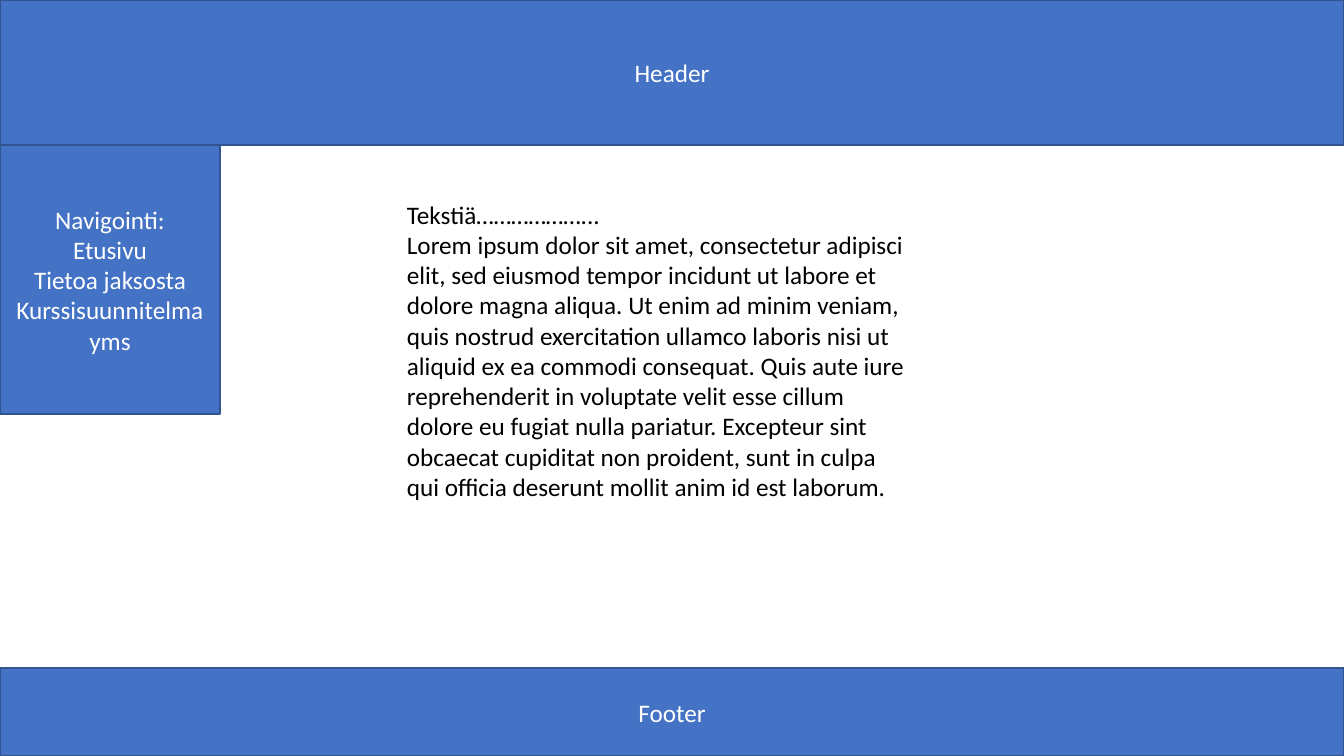
from pptx import Presentation
from pptx.dml.color import RGBColor
from pptx.enum.shapes import MSO_SHAPE
from pptx.enum.text import MSO_ANCHOR, MSO_AUTO_SIZE, PP_ALIGN
from pptx.util import Pt

PIXEL = 914400 / 100.8
WIDTH, HEIGHT = 1344, 756
HEADER_HEIGHT, FOOTER_HEIGHT = 145, 88


def color(value):
    return RGBColor.from_string(value)


def write_text(frame, lines, text_color, alignment):
    frame.word_wrap = True
    frame.text = "\n".join(lines)
    for paragraph in frame.paragraphs:
        paragraph.alignment = alignment
        paragraph.font.name = "Calibri"
        paragraph.font.size = Pt(18)
        paragraph.font.color.rgb = color(text_color)


presentation = Presentation()
presentation.slide_width = round(WIDTH * PIXEL)
presentation.slide_height = round(HEIGHT * PIXEL)
slide = presentation.slides.add_slide(presentation.slide_layouts[6])

# Header, navigation and footer blocks: left, top, width, height, lines
navigation = ["Navigointi:", "Etusivu", "Tietoa jaksosta", "Kurssisuunnitelma", "yms"]
blocks = [
    (0, 0, WIDTH, HEADER_HEIGHT, ["Header"]),
    (0, HEADER_HEIGHT, 220, 269, navigation),
    (0, HEIGHT - FOOTER_HEIGHT, WIDTH, FOOTER_HEIGHT, ["Footer"]),
]
for *box, lines in blocks:
    shape = slide.shapes.add_shape(
        MSO_SHAPE.RECTANGLE, *(round(length * PIXEL) for length in box))
    shape.shadow.inherit = False
    shape.fill.solid()
    shape.fill.fore_color.rgb = color("4472C4")
    shape.line.color.rgb = color("325491")
    shape.line.width = Pt(1)
    shape.text_frame.vertical_anchor = MSO_ANCHOR.MIDDLE
    write_text(shape.text_frame, lines, "FFFFFF", PP_ALIGN.CENTER)

# Body text
body_lines = [
    "Tekstiä………………...",
    "Lorem ipsum dolor sit amet, consectetur adipisci elit, sed eiusmod tempor "
    "incidunt ut labore et dolore magna aliqua. Ut enim ad minim veniam, quis "
    "nostrud exercitation ullamco laboris nisi ut aliquid ex ea commodi consequat. "
    "Quis aute iure reprehenderit in voluptate velit esse cillum dolore eu fugiat "
    "nulla pariatur. Excepteur sint obcaecat cupiditat non proident, sunt in culpa "
    "qui officia deserunt mollit anim id est laborum.",
]
body = slide.shapes.add_textbox(
    *(round(length * PIXEL) for length in (397, 194, 523, 316)))
write_text(body.text_frame, body_lines, "000000", PP_ALIGN.LEFT)
body.text_frame.auto_size = MSO_AUTO_SIZE.SHAPE_TO_FIT_TEXT

presentation.save("out.pptx")
